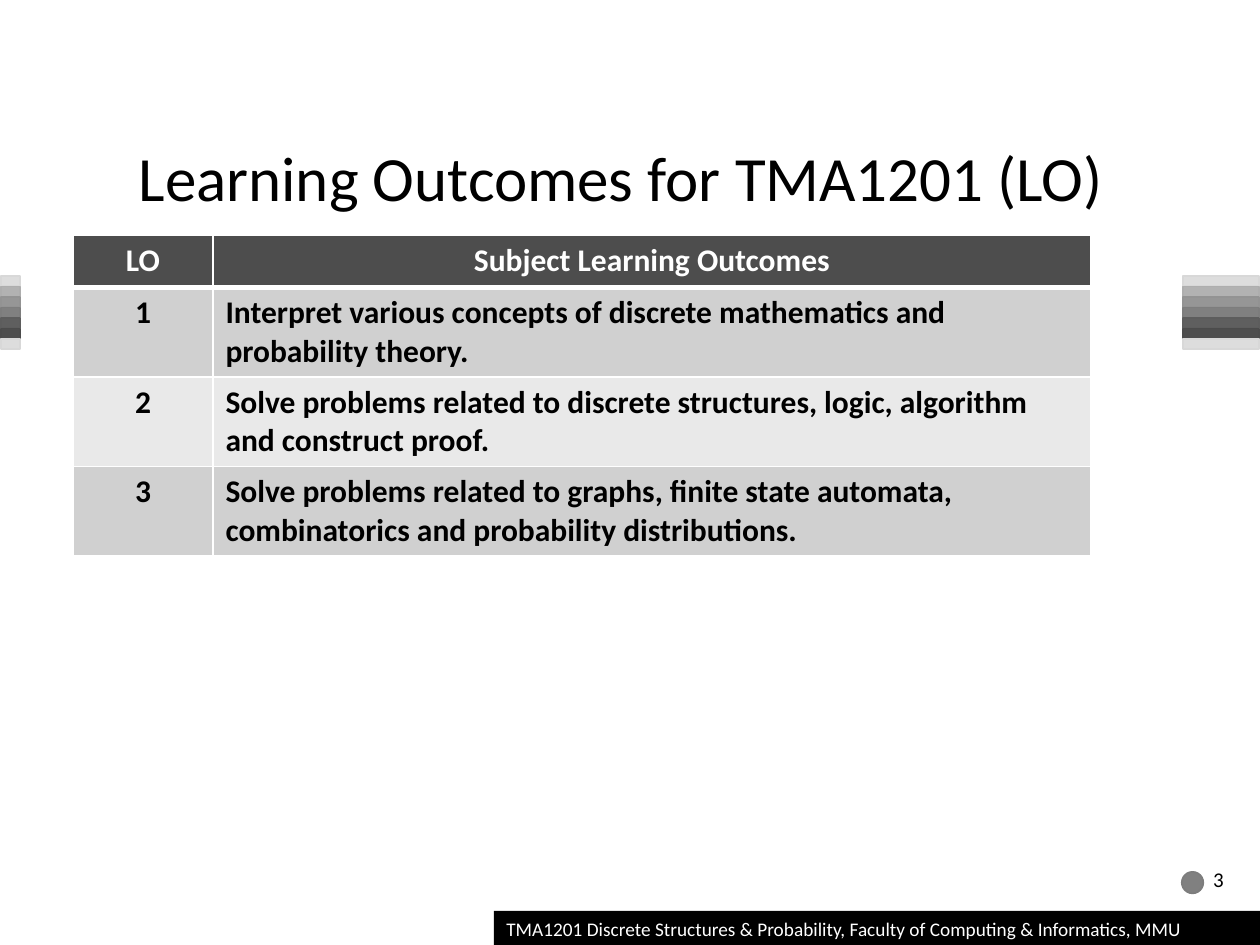
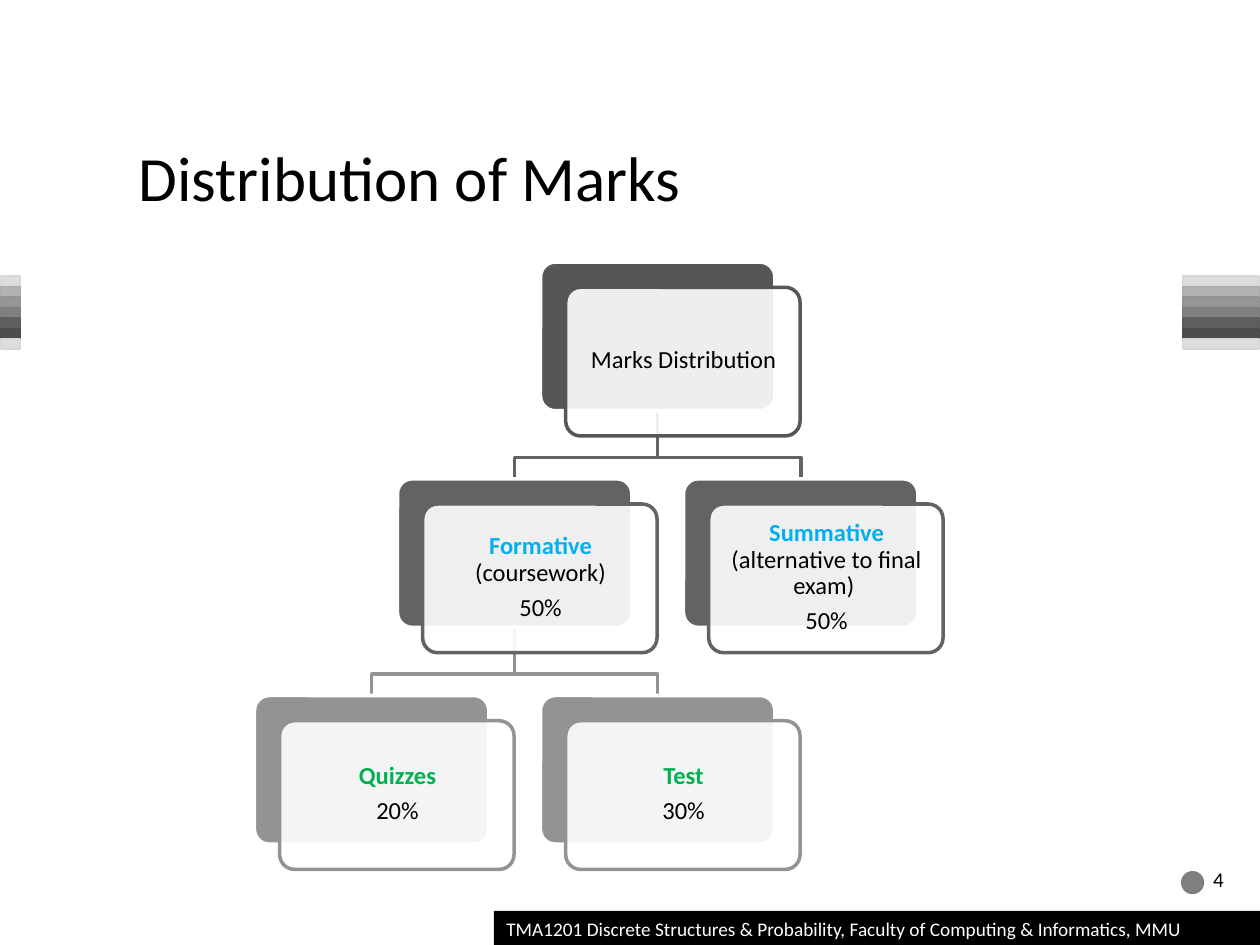
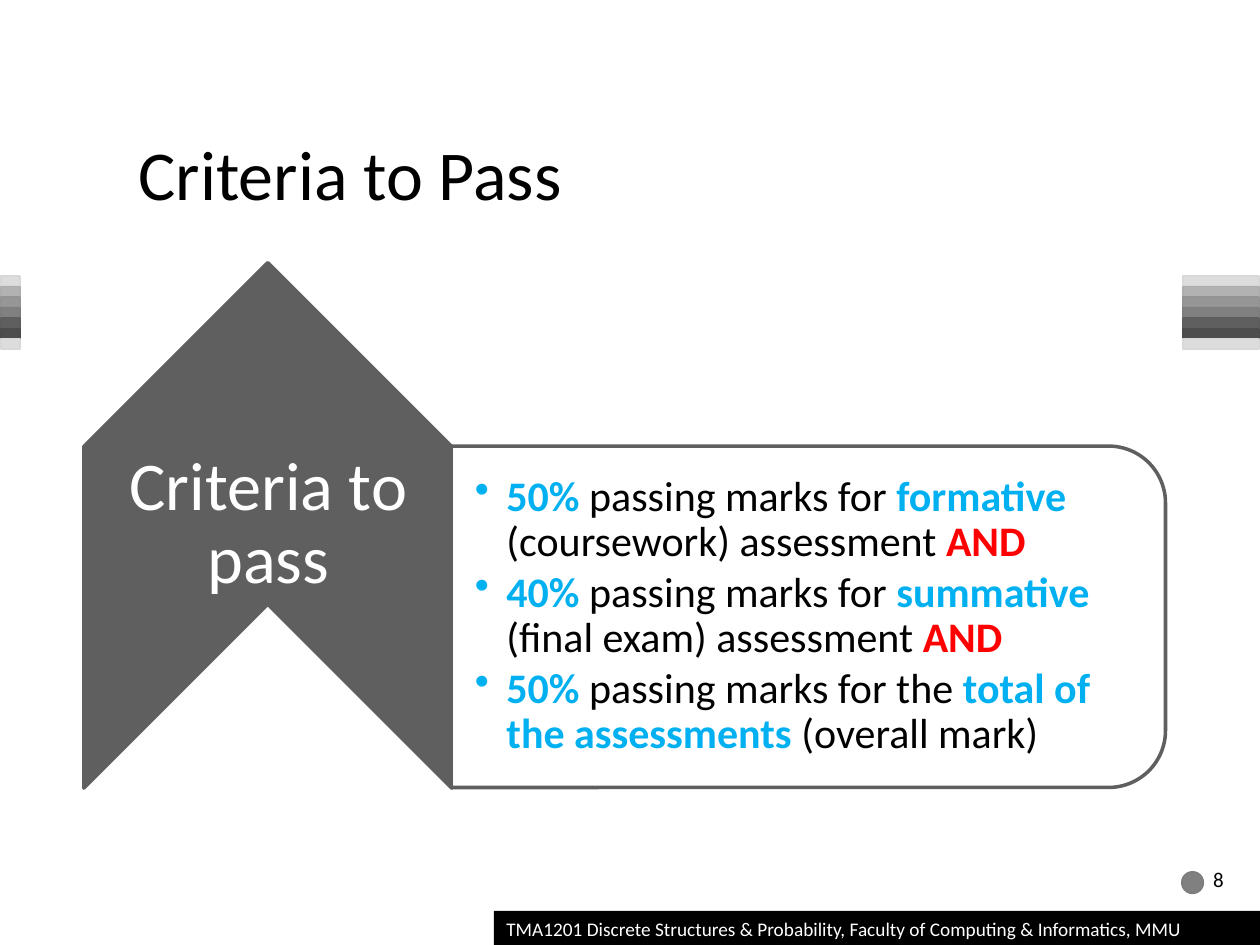
import pptx
import pptx.util
import pptx.dml.color
import pptx.enum.shapes
import pptx.enum.text
import pptx.oxml
import pptx.oxml.ns
from lxml import etree

Inches = pptx.util.Inches
Pt = pptx.util.Pt
MSO = pptx.enum.shapes.MSO_SHAPE
ALIGN = pptx.enum.text.PP_ALIGN
ANCHOR = pptx.enum.text.MSO_ANCHOR
rgb = pptx.dml.color.RGBColor.from_string
qn = pptx.oxml.ns.qn

FONT = "Calibri"
BLACK, WHITE = "000000", "FFFFFF"
BLUE, GREEN, RED = "00B0F0", "00B050", "FF0000"
DARK, SLATE, GREY = "4D4D4D", "5F5F5F", "808080"
FOOTER = ("TMA1201 Discrete Structures & Probability, "
          "Faculty of Computing & Informatics, MMU")
# Band fill and outline, top to bottom
BANDS = [("DDDDDD", "D8D8D8"), ("B2B2B2", "AEAEAE"), ("969696", "939393"),
         (GREY, "7D7D7D"), (SLATE, "5D5D5D"), (DARK, "4B4B4B"),
         ("DDDDDD", "D8D8D8")]


def write(tf, text, size=18, color=BLACK, bold=False, align=ALIGN.LEFT,
          anchor=ANCHOR.TOP, margins=(0.1, 0.05, 0.1, 0.05),
          spacing=None, after=None, bullet=None):
    """Text is a string, or a list of paragraphs of (text, color, bold) runs."""
    tf.word_wrap = True
    tf.auto_size = pptx.enum.text.MSO_AUTO_SIZE.NONE
    tf.vertical_anchor = anchor
    tf.margin_left, tf.margin_top, tf.margin_right, tf.margin_bottom = map(Inches, margins)
    paragraphs = [[(text, color, bold)]] if isinstance(text, str) else text
    for i, runs in enumerate(paragraphs):
        p = tf.add_paragraph() if i else tf.paragraphs[0]
        p.alignment = align
        if spacing:
            p.line_spacing = spacing
        if after:
            p.space_after = Pt(after)
        if bullet:
            pPr = p._p.get_or_add_pPr()
            pPr.set("marL", str(Inches(0.25)))
            pPr.set("indent", str(Inches(-0.25)))
            etree.SubElement(pPr, qn("a:buChar")).set("char", bullet)
        for run_text, run_color, run_bold in runs:
            r = p.add_run()
            r.text = run_text
            r.font.name = FONT
            r.font.size = Pt(size)
            r.font.bold = run_bold
            r.font.color.rgb = rgb(run_color)


def add_shape(s, kind, x, y, w, h, fill, line=None, width=1, opacity=None):
    sp = s.shapes.add_shape(kind, Inches(x), Inches(y), Inches(w), Inches(h))
    sp.shadow.inherit = False
    sp.fill.solid()
    sp.fill.fore_color.rgb = rgb(fill)
    if opacity:
        clr = sp._element.spPr.find(qn("a:solidFill"))[0]
        etree.SubElement(clr, qn("a:alpha")).set("val", str(opacity * 1000))
    if line:
        sp.line.color.rgb = rgb(line)
        sp.line.width = Pt(width)
    else:
        sp.line.fill.background()
    return sp


prs = pptx.Presentation()
prs.slide_width, prs.slide_height = Inches(10), Inches(7.5)

# Shared frame: side bands, title, slide number, footer
slides = []
for title, title_size, number in [("Learning Outcomes for TMA1201 (LO)", 36, "3"),
                                  ("Distribution of Marks", 36, "4"),
                                  ("Criteria to Pass", 40, "8")]:
    s = prs.slides.add_slide(prs.slide_layouts[5])
    slides.append(s)
    for x, w in [(0.01, 0.15), (9.39, 0.6)]:
        for i, (fill, line) in enumerate(BANDS):
            add_shape(s, MSO.RECTANGLE, x, 2.19 + i * 0.5 / 6, w, 0.08, fill, line)
    add_shape(s, MSO.OVAL, 9.38, 6.92, 0.17, 0.17, GREY, "7D7D7D")

    sp = s.shapes.title
    sp.left, sp.top, sp.width, sp.height = map(Inches, (1, 0.5, 8.42, 1.25))
    write(sp.text_frame, title, size=title_size, anchor=ANCHOR.BOTTOM)

    sp = s.shapes.add_textbox(Inches(9.53), Inches(6.73), Inches(0.47), Inches(0.5))
    write(sp.text_frame, number, size=12, anchor=ANCHOR.MIDDLE)
    sp = add_shape(s, MSO.RECTANGLE, 3.92, 7.23, 6.08, 0.27, BLACK)
    write(sp.text_frame, FOOTER, size=11, color=WHITE)

outcomes, marks, criteria = slides

# Slide 1: learning outcomes table
rows = [
    ("LO", "Subject Learning Outcomes"),
    ("1", "Interpret various concepts of discrete mathematics and probability theory."),
    ("2", "Solve problems related to discrete structures, logic, algorithm and construct proof."),
    ("3", "Solve problems related to graphs, finite state automata, combinatorics and "
          "probability distributions."),
]
table = outcomes.shapes.add_table(len(rows), 2, Inches(0.58), Inches(1.87),
                                  Inches(8.08), Inches(2.51)).table
table.columns[0].width, table.columns[1].width = Inches(1.11), Inches(6.97)
for i, row in enumerate(rows):
    header = i == 0
    table.rows[i].height = Inches(0.41 if header else 0.7)
    for j, text in enumerate(row):
        cell = table.cell(i, j)
        write(cell.text_frame, text, bold=True, color=WHITE if header else BLACK,
              align=ALIGN.CENTER if header or j == 0 else ALIGN.LEFT)
        tcPr = cell._tc.get_or_add_tcPr()
        for side in ("lnL", "lnR", "lnT", "lnB"):
            thick = (header and side == "lnB") or (i == 1 and side == "lnT")
            ln = etree.SubElement(tcPr, qn("a:" + side), w=str(Pt(3 if thick else 1)))
            fill = etree.SubElement(ln, qn("a:solidFill"))
            etree.SubElement(fill, qn("a:srgbClr"), val=WHITE)
        cell.fill.solid()
        cell.fill.fore_color.rgb = rgb(DARK if header else "D0D0D0" if i % 2 else "E9E9E9")

# Slide 2: marks tree, placed on half-step columns and three levels
NODE_W, NODE_H = 1.86, 1.18
COL_X, COL_STEP = 2.02, 1.135
ROW_Y, ROW_STEP = 2.08, 1.72
LEVEL_COLORS = ["565656", "636363", "939393"]
# Column, level, parent column, text
nodes = [
    (2, 0, None, [[("Marks Distribution", BLACK, False)]]),
    (1, 1, 2, [[("Formative", BLUE, True), (" (coursework)", BLACK, False)],
               [("50%", BLACK, False)]]),
    (0, 2, 1, [[("Quizzes", GREEN, True)], [("20%", BLACK, False)]]),
    (2, 2, 1, [[("Test", GREEN, True)], [("30%", BLACK, False)]]),
    (3, 1, 2, [[("Summative ", BLUE, True), ("(alternative to final exam) ", BLACK, False)],
               [("50%", BLACK, False)]]),
]
for col, level, parent, text in nodes:
    if parent is None:
        continue
    x1, x2 = [COL_X + c * COL_STEP + NODE_W / 2 for c in (parent, col)]
    y2 = ROW_Y + level * ROW_STEP
    y1 = y2 - ROW_STEP + NODE_H
    bend = y1 + 0.37
    fb = marks.shapes.build_freeform(Inches(x1), Inches(y1))
    fb.add_line_segments([(Inches(x), Inches(y)) for x, y in
                          [(x1, bend), (x2, bend), (x2, y2)]], close=False)
    branch = fb.convert_to_shape()
    branch.shadow.inherit = False
    branch.fill.background()
    branch.line.color.rgb = rgb(LEVEL_COLORS[level])
    branch.line.width = Pt(2)

for col, level, parent, text in nodes:
    x, y = COL_X + col * COL_STEP, ROW_Y + level * ROW_STEP
    color = LEVEL_COLORS[level]
    back = add_shape(marks, MSO.ROUNDED_RECTANGLE, x, y, NODE_W, NODE_H, color, WHITE, 2)
    card = add_shape(marks, MSO.ROUNDED_RECTANGLE, x + 0.2, y + 0.2, NODE_W, NODE_H,
                     WHITE, color, 2, opacity=90)
    back.adjustments[0] = card.adjustments[0] = 0.1
    label = marks.shapes.add_textbox(Inches(x + 0.24), Inches(y + 0.23),
                                     Inches(1.79), Inches(1.11))
    write(label.text_frame, text, size=14, align=ALIGN.CENTER, anchor=ANCHOR.MIDDLE,
          margins=[0.06] * 4, spacing=0.9, after=5)

# Slide 3: upward chevron with its list of criteria
chevron = add_shape(criteria, MSO.CHEVRON, 0.04, 2.71, 4.17, 2.92, SLATE, SLATE, 2)
chevron.rotation = 270
label = criteria.shapes.add_textbox(Inches(0.67), Inches(3.54), Inches(2.92), Inches(1.25))
write(label.text_frame, "Criteria to pass", size=39, color=WHITE, align=ALIGN.CENTER,
      anchor=ANCHOR.MIDDLE, margins=[0.03] * 4, spacing=0.9)

panel = add_shape(criteria, MSO.ROUND_2_SAME_RECTANGLE, 5.06, 2.06, 2.71, 5.67,
                  WHITE, SLATE, 2, opacity=90)
panel.rotation = 90
conditions = [
    [("50%", BLUE, True), (" passing marks for ", BLACK, False), ("formative", BLUE, True),
     (" (coursework) assessment ", BLACK, False), ("AND", RED, True)],
    [("40%", BLUE, True), (" passing marks for ", BLACK, False), ("summative", BLUE, True),
     (" (final exam) assessment ", BLACK, False), ("AND", RED, True)],
    [("50%", BLUE, True), (" passing marks for the ", BLACK, False),
     ("total of the assessments", BLUE, True), (" (overall mark)", BLACK, False)],
]
body = criteria.shapes.add_textbox(Inches(3.58), Inches(3.67), Inches(5.53), Inches(2.44))
write(body.text_frame, conditions, size=24, anchor=ANCHOR.MIDDLE,
      margins=(0.19, 0.02, 0.02, 0.02), spacing=0.9, after=3, bullet="•")

prs.save("out.pptx")
